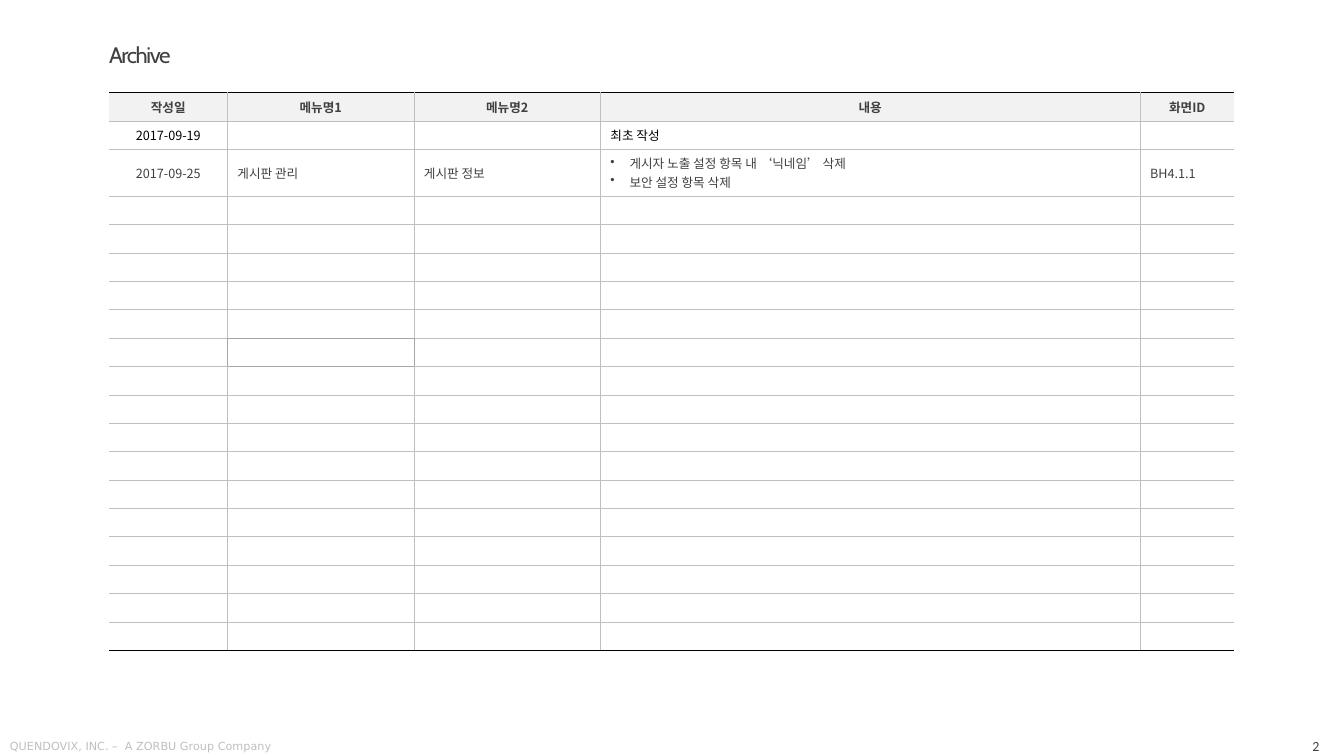
from dataclasses import dataclass
from typing import Optional

import pptx
import pptx.dml.color
import pptx.enum.text
import pptx.oxml.ns
import pptx.oxml.xmlchemy
import pptx.util
from lxml import etree

Cm = pptx.util.Cm
Pt = pptx.util.Pt
ALIGN = pptx.enum.text.PP_ALIGN
ANCHOR = pptx.enum.text.MSO_ANCHOR
qn = pptx.oxml.ns.qn

BODY_FONT = "Noto Sans CJK KR"
INK, BLACK, GRID, MARK, HEAD_FILL = "404040", "000000", "BFBFBF", "A6A6A6", "F2F2F2"
COL_WIDTHS = [2.98, 4.7, 4.7, 13.6, 2.38]
TABLE_HEIGHT, LIST_ROW_HEIGHT = 14.06, 1.18
ROW_COUNT, LIST_ROW = 19, 2
MARKED_CELL = (8, 1)
HEADERS = ["작성일", "메뉴명1", "메뉴명2", "내용", "화면ID"]


@dataclass
class Entry:
    row: int
    col: int
    lines: list[str]
    color: str = INK
    align: ALIGN = ALIGN.LEFT
    bold: bool = False
    bullet: bool = False


@dataclass
class Label:
    text: str
    left: float
    top: float
    width: float
    size: float
    font: str
    color: str
    align: ALIGN
    anchor: ANCHOR


ENTRIES = [
    *(Entry(0, c, [h], align=ALIGN.CENTER, bold=True) for c, h in enumerate(HEADERS)),
    Entry(1, 0, ["2017-09-19"], BLACK, ALIGN.CENTER),
    Entry(1, 3, ["최초 작성"], BLACK),
    Entry(2, 0, ["2017-09-25"], align=ALIGN.CENTER),
    Entry(2, 1, ["게시판 관리"]),
    Entry(2, 2, ["게시판 정보"]),
    Entry(2, 3, ["게시자 노출 설정 항목 내 ‘닉네임’ 삭제", "보안 설정 항목 삭제"], bullet=True),
    Entry(2, 4, ["BH4.1.1"]),
]
LABELS = [
    Label("2", 31.55, 18.52, 1.8, 10, "Calibri", INK, ALIGN.RIGHT, ANCHOR.MIDDLE),
    Label("QUENDOVIX, INC. –  A ZORBU Group Company", 0.15, 18.49, 9.12, 8,
          "DejaVu Sans", GRID, ALIGN.LEFT, ANCHOR.TOP),
]


def rgb(value: str) -> pptx.dml.color.RGBColor:
    return pptx.dml.color.RGBColor.from_string(value)


def write(p, text: str, *, size: float, font: str, color: str, bold: bool = False,
          align: ALIGN = ALIGN.LEFT, spacing: float = 0, bullet: bool = False) -> None:
    p.alignment = align
    r = p.add_run()
    r.text = text
    r.font.size = Pt(size)
    r.font.name = font
    r.font.bold = bold
    r.font.color.rgb = rgb(color)
    rPr = r._r.get_or_add_rPr()
    etree.SubElement(rPr, qn("a:ea")).set("typeface", font)
    if spacing:
        rPr.set("spc", str(int(spacing * 100)))
    if bullet:
        pPr = p._p.get_or_add_pPr()
        pPr.set("marL", str(Cm(0.48)))
        pPr.set("indent", str(-Cm(0.48)))
        etree.SubElement(pPr, qn("a:buChar")).set("char", "•")


def set_border(cell, side: str, color: Optional[str]) -> None:
    ln = etree.SubElement(cell._tc.get_or_add_tcPr(), qn(f"a:ln{side}"))
    ln.set("w", str(Pt(0.25)))
    if color is None:
        etree.SubElement(ln, qn("a:noFill"))
    else:
        fill = etree.SubElement(ln, qn("a:solidFill"))
        etree.SubElement(fill, qn("a:srgbClr")).set("val", color)


def edge_color(row: int, col: int, d_row: int, d_col: int) -> Optional[str]:
    near_row, near_col = row + d_row, col + d_col
    if not 0 <= near_col < len(COL_WIDTHS):
        return None
    if not 0 <= near_row < ROW_COUNT:
        return BLACK
    return MARK if MARKED_CELL in ((row, col), (near_row, near_col)) else GRID


def format_cell(cell, row: int, col: int) -> None:
    cell.vertical_anchor = ANCHOR.MIDDLE
    for side, step in {"L": (0, -1), "R": (0, 1), "T": (-1, 0), "B": (1, 0)}.items():
        set_border(cell, side, edge_color(row, col, *step))
    if row == 0:
        cell.fill.solid()
        cell.fill.fore_color.rgb = rgb(HEAD_FILL)
    else:
        cell.fill.background()


def add_archive_table(s) -> None:
    frame = s.shapes.add_table(ROW_COUNT, len(COL_WIDTHS), Cm(2.75), Cm(2.33),
                               Cm(sum(COL_WIDTHS)), Cm(TABLE_HEIGHT))
    table = frame.table
    table.first_row = table.horz_banding = False
    for column, width in zip(table.columns, COL_WIDTHS):
        column.width = Cm(width)
    plain_height = (TABLE_HEIGHT - LIST_ROW_HEIGHT) / (ROW_COUNT - 1)
    entries = {(e.row, e.col): e for e in ENTRIES}
    for row, table_row in enumerate(table.rows):
        table_row.height = Cm(LIST_ROW_HEIGHT if row == LIST_ROW else plain_height)
        for col, cell in enumerate(table_row.cells):
            format_cell(cell, row, col)
            tf = cell.text_frame
            entry = entries.get((row, col))
            if entry is None:
                end = etree.SubElement(tf.paragraphs[0]._p, qn("a:endParaRPr"))
                end.set("sz", "900")
                continue
            for i, line in enumerate(entry.lines):
                p = tf.add_paragraph() if i else tf.paragraphs[0]
                write(p, line, size=9, font=BODY_FONT, color=entry.color,
                      bold=entry.bold, align=entry.align, bullet=entry.bullet)


def add_title(s) -> None:
    sp = s.shapes.title
    sp.left, sp.top, sp.width, sp.height = Cm(2.75), Cm(1.12), Cm(23.8), Cm(0.91)
    tf = sp.text_frame
    tf.margin_left = tf.margin_right = tf.margin_top = tf.margin_bottom = 0
    tf.word_wrap = True
    tf.auto_size = pptx.enum.text.MSO_AUTO_SIZE.NONE
    tf.vertical_anchor = ANCHOR.TOP
    p = tf.paragraphs[0]
    p.line_spacing = 0.9
    p.space_before = Pt(10)
    write(p, "Archive", size=16, font="Cabin", color=INK, spacing=-1)


def add_label(s, label: Label) -> None:
    sp = s.shapes.add_textbox(Cm(label.left), Cm(label.top), Cm(label.width), Cm(0.53))
    tf = sp.text_frame
    tf.word_wrap = False
    tf.margin_left = tf.margin_right = Cm(0.1)
    tf.margin_top = tf.margin_bottom = Cm(0.13)
    tf.vertical_anchor = label.anchor
    write(tf.paragraphs[0], label.text, size=label.size, font=label.font,
          color=label.color, align=label.align)


def main() -> None:
    prs = pptx.Presentation()
    prs.slide_width, prs.slide_height = Cm(33.87), Cm(19.05)
    s = prs.slides.add_slide(prs.slide_layouts[5])
    for label in LABELS:
        add_label(s, label)
    add_title(s)
    add_archive_table(s)
    prs.save("out.pptx")


if __name__ == "__main__":
    main()
